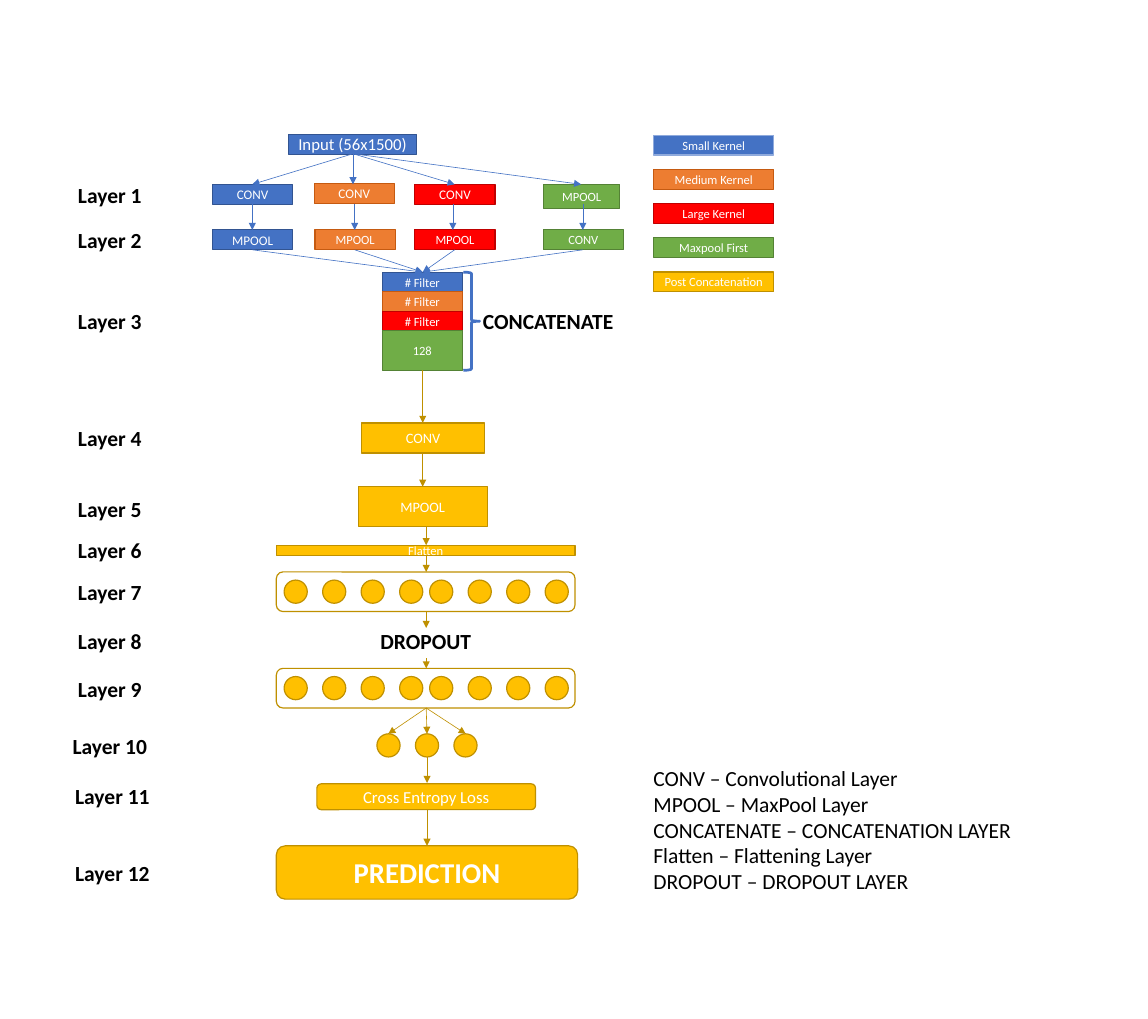
from dataclasses import dataclass
from typing import NamedTuple, Optional

from lxml import etree
from pptx import Presentation
from pptx.dml.color import RGBColor
from pptx.enum import shapes, text
from pptx.oxml import ns
from pptx.util import Pt

RECT = shapes.MSO_SHAPE.RECTANGLE
ROUND = shapes.MSO_SHAPE.ROUNDED_RECTANGLE
OVAL = shapes.MSO_SHAPE.OVAL
CENTER = text.PP_ALIGN.CENTER
LEFT = text.PP_ALIGN.LEFT


class Hue(NamedTuple):
    fill: Optional[str]
    line: str


@dataclass(frozen=True)
class Theme:
    font: str = "Calibri"
    black: str = "000000"
    white: str = "FFFFFF"
    blue: Hue = Hue("4472C4", "325491")
    pale: Hue = Hue("4472C4", "8FAADC")
    orange: Hue = Hue("ED7D31", "C55A11")
    red: Hue = Hue("FF0000", "C00000")
    green: Hue = Hue("70AD47", "548235")
    gold: Hue = Hue("FFC000", "BF9000")
    frame: Hue = Hue(None, "BF9000")
    tiny: float = 10.5
    small: float = 11
    body: float = 12
    large: float = 14
    label: float = 18
    huge: float = 24


@dataclass(frozen=True)
class Box:
    x: float
    y: float
    w: float
    h: float
    hue: Hue
    words: str = ""
    size: float = 10.5
    kind: shapes.MSO_SHAPE = RECT
    bold: bool = False


class Arrow(NamedTuple):
    x1: float
    y1: float
    x2: float
    y2: float
    color: str


class Note(NamedTuple):
    x: float
    y: float
    w: float
    h: float
    words: str
    align: text.PP_ALIGN = CENTER
    bold: bool = True
    wrap: bool = True


T = Theme()
THIN, SLIM = 16.6, 67  # height and width of a small block
TOP, POOL, STACK = 154.1, 192.2, 227.5  # tops of the branch rows and the filter stack
HUB, MID = 353.5, 356.4  # centre lines of the stack and of the dense part
WIDE, EDGE, DEEP = 249.8, 231.1, 33.1  # dense rows
DOT, GAP = 19.4, 32.2  # neurons

LAYERS = [148.3, 185.8, 254.2, 351.4, 411.1, 445.7,
          480.2, 521.3, 561.6, 609.1, 650.9, 715]
KEYS = [("Small Kernel", T.pale), ("Medium Kernel", T.orange), ("Large Kernel", T.red),
        ("Maxpool First", T.green), ("Post Concatenation", T.gold)]
TERMS = ["CONV – Convolutional Layer", "MPOOL – MaxPool Layer",
         "CONCATENATE – CONCATENATION LAYER", "Flatten – Flattening Layer",
         "DROPOUT – DROPOUT LAYER"]


def paint(frame, color: str, size: float, align: text.PP_ALIGN, bold: bool) -> None:
    for para in frame.paragraphs:
        para.alignment = align
        for run in para.runs:
            run.font.name = T.font
            run.font.size = Pt(size)
            run.font.bold = bold
            run.font.color.rgb = RGBColor.from_string(color)


def draw_box(slide, box: Box) -> None:
    shape = slide.shapes.add_shape(box.kind, Pt(box.x), Pt(box.y), Pt(box.w), Pt(box.h))
    shape.shadow.inherit = False
    if box.hue.fill:
        shape.fill.solid()
        shape.fill.fore_color.rgb = RGBColor.from_string(box.hue.fill)
    else:
        shape.fill.background()
    shape.line.color.rgb = RGBColor.from_string(box.hue.line)
    shape.line.width = Pt(1)
    if box.words:
        shape.text_frame.text = box.words
        shape.text_frame.vertical_anchor = text.MSO_ANCHOR.MIDDLE
        paint(shape.text_frame, T.white, box.size, CENTER, box.bold)


def draw_arrow(slide, arrow: Arrow) -> None:
    ends = [Pt(v) for v in arrow[:4]]
    line = slide.shapes.add_connector(shapes.MSO_CONNECTOR.STRAIGHT, *ends)
    line.line.color.rgb = RGBColor.from_string(arrow.color)
    line.line.width = Pt(0.5)
    etree.SubElement(line.line._get_or_add_ln(), ns.qn("a:tailEnd"), type="triangle")
    etree.SubElement(line._element.spPr, ns.qn("a:effectLst"))


def draw_note(slide, note: Note) -> None:
    area = slide.shapes.add_textbox(Pt(note.x), Pt(note.y), Pt(note.w), Pt(note.h))
    area.text_frame.text = note.words
    area.text_frame.word_wrap = note.wrap
    area.text_frame.auto_size = text.MSO_AUTO_SIZE.SHAPE_TO_FIT_TEXT
    paint(area.text_frame, T.black, T.label, note.align, note.bold)


def draw_brace(slide) -> None:
    brace = slide.shapes.add_shape(shapes.MSO_SHAPE.RIGHT_BRACE,
                                   Pt(387.4), Pt(STACK), Pt(13.7), Pt(82.1))
    brace.shadow.inherit = False
    brace.fill.background()
    brace.line.color.rgb = RGBColor.from_string(T.blue.fill)
    brace.line.width = Pt(2.25)


def dots(x: float, y: float, count: int) -> list[Box]:
    return [Box(x + i * GAP, y, DOT, DOT, T.gold, kind=OVAL) for i in range(count)]


def dense(y: float) -> list[Box]:
    """A framed row of two groups of four neurons."""
    frame = Box(EDGE, y, WIDE, DEEP, T.frame, kind=ROUND)
    return [frame] + dots(237.6, y + 6.8, 4) + dots(359.3, y + 6.8, 4)


def boxes() -> list[Box]:
    stack = [Box(319.7, STACK + i * 16.4, SLIM, THIN, hue, "# Filter")
             for i, hue in enumerate((T.blue, T.orange, T.red))]
    keys = [Box(546.8, 113 + i * 28.6, 100.1, THIN, hue, name)
            for i, (name, hue) in enumerate(KEYS)]
    return [
        Box(241.2, 112.3, 107.3, THIN, T.blue, "Input (56x1500)", T.large),
        Box(177.8, TOP, SLIM, THIN, T.blue, "CONV", T.small),
        Box(262.8, 153.4, SLIM, THIN, T.orange, "CONV", T.small),
        Box(347, TOP, SLIM, THIN, T.red, "CONV", T.small),
        Box(454.3, TOP, 64.1, 20.2, T.green, "MPOOL"),
        Box(177.8, POOL, SLIM, THIN, T.blue, "MPOOL", T.small),
        Box(263.5, POOL, SLIM, THIN, T.orange, "MPOOL"),
        Box(347, POOL, SLIM, THIN, T.red, "MPOOL"),
        Box(454.3, POOL, SLIM, THIN, T.green, "CONV"),
        *stack,
        Box(319.7, 276.5, SLIM, DEEP, T.green, "128"),
        Box(302.4, 353.5, 103, 25.2, T.gold, "CONV", T.body),
        Box(299.5, 406.8, 108, DEEP, T.gold, "MPOOL", T.body),
        Box(EDGE, 455.8, WIDE, 8.6, T.gold, "Flatten"),
        *dense(478.1), *dense(558.7), *dots(315.2, 613.4, 3),
        Box(265, 655.2, 182.9, 21.6, T.gold, "Cross Entropy Loss", T.large, ROUND),
        Box(EDGE, 707, 252, 44.6, T.gold, "PREDICTION", T.huge, ROUND, True),
        *keys,
    ]


def arrows() -> list[Arrow]:
    blue, gold = T.blue.fill, T.gold.line
    split = [Arrow(295.2, 128.5, x, TOP, blue) for x in (211, 295.2, 380.2, 486)]
    down = [Arrow(x, 170.6, x, POOL, blue) for x in (211, 296.6, 378.7, 487.4)]
    merge = [Arrow(x, 208.8, HUB, STACK, blue) for x in (211, 296.6, 380.2, 487.4)]
    steps = [(HUB, 309.6, 353.5), (HUB, 378.7, 406.8), (MID, 440, 455.8),
             (MID, 465.1, 478.1), (MID, 511.2, 524.9), (MID, 550.1, 558.7),
             (357.1, 632.9, 654.5), (357.1, 676.8, 707)]
    chain = [Arrow(x, y1, x, y2, gold) for x, y1, y2 in steps]
    fan = [Arrow(MID, 591.8, x, 613.4, gold) for x in (324.7, 357.1, 389.5)]
    return split + down + merge + chain + fan


def notes() -> list[Note]:
    names = [Note(29.5 if i <= 10 else 31.7, y, 124.6, 28.8, f"Layer {i}")
             for i, y in enumerate(LAYERS, 1)]
    return names + [
        Note(259.2, 521.3, 193.7, 28.8, "DROPOUT"),
        Note(396.7, 254.2, 124.6, 28.8, "CONCATENATE", LEFT),
        Note(539.3, 635.8, 316.1, 116.6, "\n".join(TERMS), LEFT, False, False),
    ]


def main() -> None:
    deck = Presentation()
    deck.slide_width, deck.slide_height = Pt(960), Pt(851.76)
    slide = deck.slides.add_slide(deck.slide_layouts[6])
    for box in boxes():
        draw_box(slide, box)
    draw_brace(slide)
    for arrow in arrows():
        draw_arrow(slide, arrow)
    for note in notes():
        draw_note(slide, note)
    deck.save("out.pptx")


if __name__ == "__main__":
    main()
